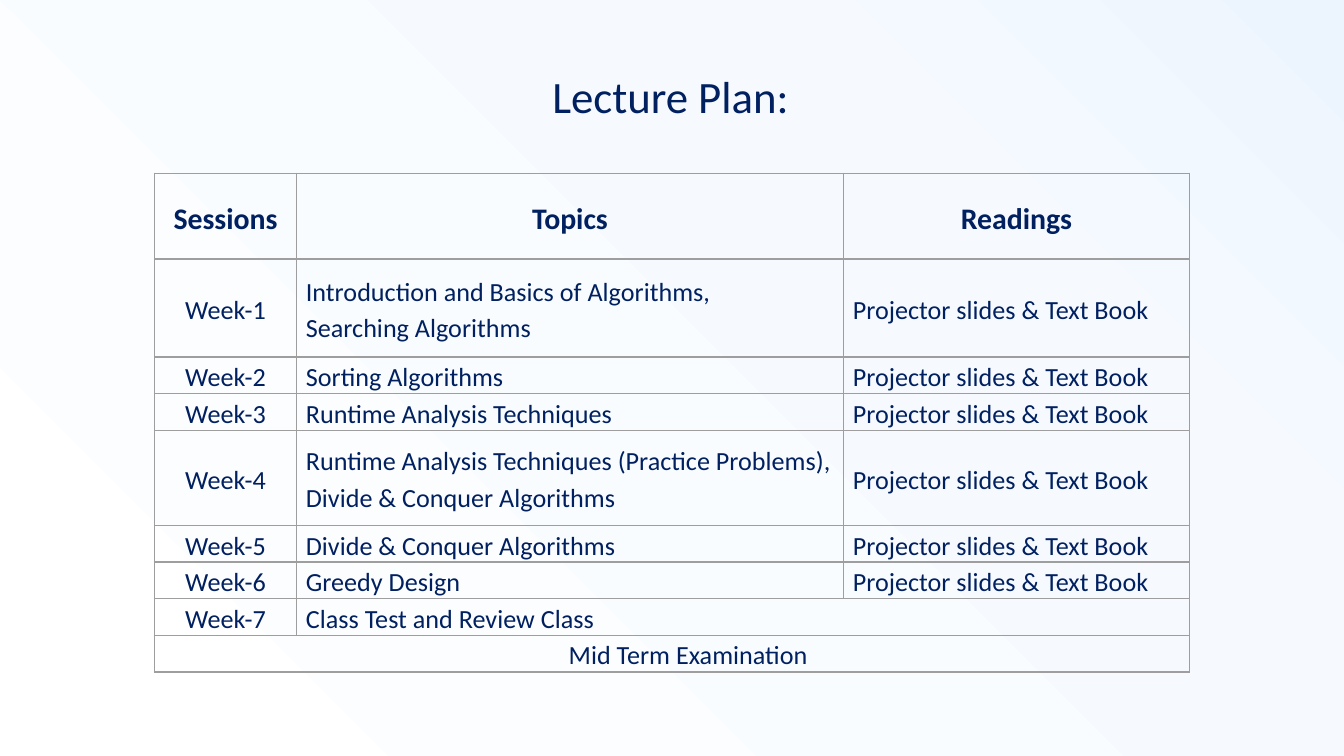
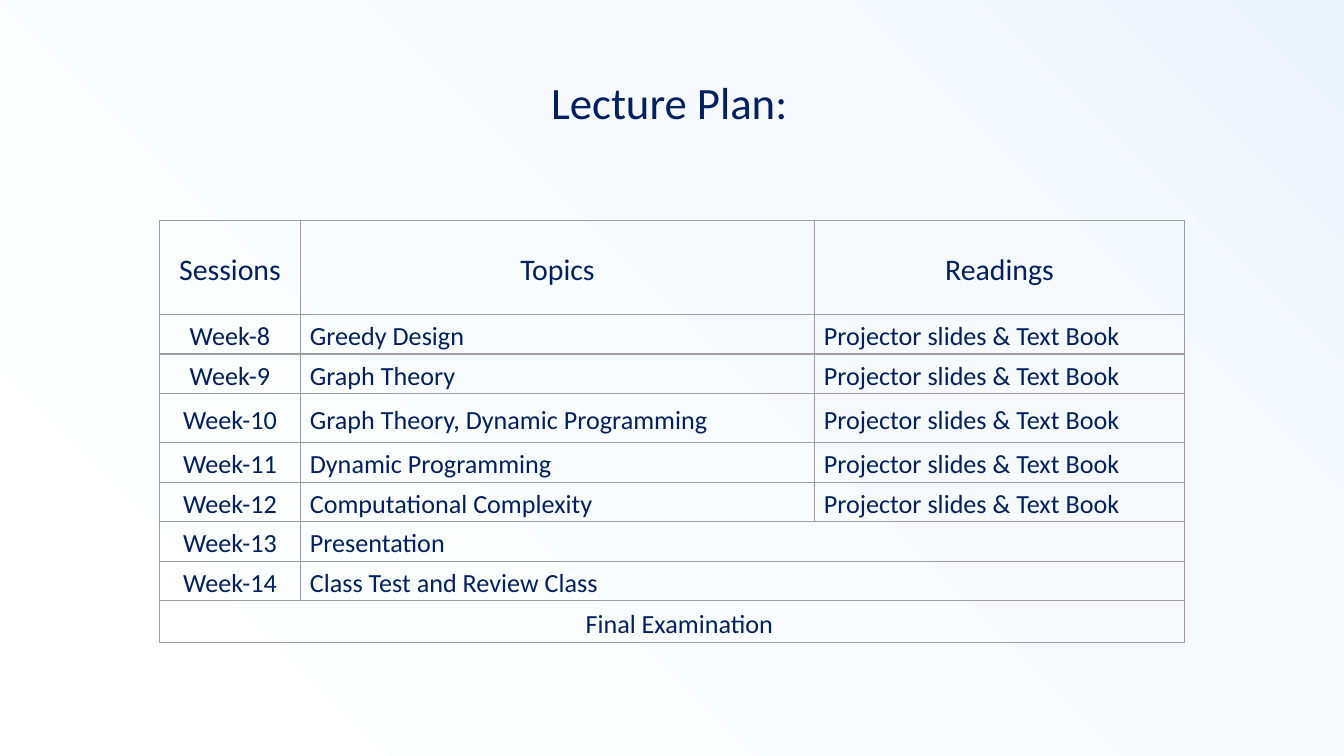
from dataclasses import dataclass

import pptx
import pptx.dml.color
import pptx.enum.text
import pptx.oxml
import pptx.oxml.ns
import pptx.presentation
import pptx.slide
import pptx.table
import pptx.text.text
import pptx.util

Pt = pptx.util.Pt
Align = pptx.enum.text.PP_ALIGN
Anchor = pptx.enum.text.MSO_ANCHOR


# Shared look
@dataclass(frozen=True)
class Theme:
    font: str = "Calibri"
    ink: str = "002060"
    border: str = "9E9E9E"
    border_width: float = 0.75
    glow: tuple[tuple[int, str], ...] = ((0, "ECF5FE"), (29, "F6FAFF"), (99, "FFFFFF"))
    title_size: float = 24
    header_size: float = 16
    body_size: float = 14
    line_spacing: float = 1.15
    gap_after: float = 10
    title_inset: float = 7.2
    cell_inset: float = 5


THEME = Theme()
TITLE = "Lecture Plan:"
HEADERS = ("Sessions", "Topics", "Readings")
READING = "Projector slides & Text Book"


# Content model
@dataclass(frozen=True)
class Week:
    number: int
    topic: str
    height: float
    align: Align = Align.LEFT
    gap_after: float = THEME.gap_after
    has_reading: bool = True


@dataclass(frozen=True)
class Plan:
    title_box: tuple[float, float, float, float]
    corner: tuple[float, float]
    columns: tuple[float, float, float]
    header_height: float
    header_bold: bool
    reading_align: Align
    weeks: tuple[Week, ...]
    exam: str
    exam_height: float
    exam_indent: float


LOW, MID = 19.6, 21.15  # single-line row heights before and after mid term

PLANS = (
    Plan(
        title_box=(288.7, 29.5, 142.6, 45.4),
        corner=(82.8, 92.8),
        columns=(76.1, 293, 185.4),
        header_height=45.9,
        header_bold=True,
        reading_align=Align.LEFT,
        weeks=(
            Week(1, "Introduction and Basics of Algorithms,\nSearching Algorithms",
                 52.6, gap_after=0),
            Week(2, "Sorting Algorithms", LOW, gap_after=0),
            Week(3, "Runtime Analysis Techniques", LOW),
            Week(4, "Runtime Analysis Techniques (Practice Problems), "
                    "Divide & Conquer Algorithms", 51),
            Week(5, "Divide & Conquer Algorithms", LOW),
            Week(6, "Greedy Design", LOW),
            Week(7, "Class Test and Review Class", LOW, has_reading=False),
        ),
        exam="Mid Term Examination",
        exam_height=LOW,
        exam_indent=17.3,
    ),
    Plan(
        title_box=(288, 33, 144, 45.4),
        corner=(85.5, 118.1),
        columns=(75.5, 275.4, 198.2),
        header_height=50.4,
        header_bold=False,
        reading_align=Align.JUSTIFY,
        weeks=(
            Week(8, "Greedy Design", MID),
            Week(9, "Graph Theory", MID, Align.JUSTIFY, 0),
            Week(10, "Graph Theory, Dynamic Programming", 26.5, Align.JUSTIFY, 0),
            Week(11, "Dynamic Programming", MID, Align.JUSTIFY, 0),
            Week(12, "Computational Complexity", MID, Align.JUSTIFY, 0),
            Week(13, "Presentation", MID, Align.JUSTIFY, has_reading=False),
            Week(14, "Class Test and Review Class", MID, has_reading=False),
        ),
        exam="Final Examination",
        exam_height=22.4,
        exam_indent=7.9,
    ),
)


# Shared helpers
def style_spans(para: pptx.text.text._Paragraph, size: float, bold: bool = False) -> None:
    for span in para.runs:
        span.font.name = THEME.font
        span.font.size = Pt(size)
        span.font.bold = bold
        span.font.color.rgb = pptx.dml.color.RGBColor.from_string(THEME.ink)


def paint_background(deck: pptx.presentation.Presentation) -> None:
    """Put a round glow in the top right corner of the master."""
    master = deck.slide_master
    master.background.fill.solid()
    properties = master.element.xpath(".//p:bgPr")[0]
    stops = "".join(
        f'<a:gs pos="{place * 1000}"><a:srgbClr val="{color}"/></a:gs>'
        for place, color in THEME.glow
    )
    properties.replace(properties[0], pptx.oxml.parse_xml(
        f'<a:gradFill {pptx.oxml.ns.nsdecls("a")} rotWithShape="1">'
        f'<a:gsLst>{stops}</a:gsLst><a:path path="circle">'
        f'<a:fillToRect l="100000" b="100000"/></a:path></a:gradFill>'
    ))


def prepare_cell(cell: pptx.table._Cell) -> None:
    """Give a cell its borders, insets and a clear fill."""
    properties = cell._tc.get_or_add_tcPr()
    for side in "LRTB":
        properties.append(pptx.oxml.parse_xml(
            f'<a:ln{side} {pptx.oxml.ns.nsdecls("a")} w="{Pt(THEME.border_width)}">'
            f'<a:solidFill><a:srgbClr val="{THEME.border}"/></a:solidFill></a:ln{side}>'
        ))
    cell.fill.background()
    cell.vertical_anchor = Anchor.MIDDLE
    cell.margin_left = cell.margin_right = Pt(THEME.cell_inset)
    cell.margin_top = cell.margin_bottom = 0


def write_cell(cell: pptx.table._Cell, text: str, align: Align = Align.CENTER,
               size: float = THEME.body_size, bold: bool = False,
               gap_after: float = THEME.gap_after, indent: float = 0) -> None:
    cell.text_frame.text = text
    for para in cell.text_frame.paragraphs:
        para.alignment = align
        para.line_spacing = THEME.line_spacing
        para.space_after = Pt(gap_after)
        if indent:
            para._p.get_or_add_pPr().set("marL", str(Pt(indent)))
        style_spans(para, size, bold)


# Slide parts
def add_title(page: pptx.slide.Slide, plan: Plan) -> None:
    box = page.shapes.title
    box.left, box.top, box.width, box.height = map(Pt, plan.title_box)
    frame = box.text_frame
    frame.text = TITLE
    frame.auto_size = pptx.enum.text.MSO_AUTO_SIZE.NONE
    frame.word_wrap = True
    frame.vertical_anchor = Anchor.TOP
    frame.margin_left = frame.margin_right = Pt(THEME.title_inset)
    frame.margin_top = frame.margin_bottom = Pt(THEME.title_inset)
    frame.paragraphs[0].alignment = Align.LEFT
    style_spans(frame.paragraphs[0], THEME.title_size)


def add_plan_table(page: pptx.slide.Slide, plan: Plan) -> None:
    heights = (plan.header_height, *(week.height for week in plan.weeks), plan.exam_height)
    table = page.shapes.add_table(
        len(heights), len(HEADERS), *map(Pt, plan.corner),
        Pt(sum(plan.columns)), Pt(sum(heights)),
    ).table
    table.first_row = table.horz_banding = False
    for column, width in zip(table.columns, plan.columns):
        column.width = Pt(width)
    for row, height in zip(table.rows, heights):
        row.height = Pt(height)
    for cell in table.iter_cells():
        prepare_cell(cell)

    # Header row
    for index, header in enumerate(HEADERS):
        write_cell(table.cell(0, index), header, size=THEME.header_size,
                   bold=plan.header_bold)

    # One row a week
    for index, week in enumerate(plan.weeks, start=1):
        session, topic, reading = (table.cell(index, column) for column in range(3))
        write_cell(session, f"Week-{week.number}")
        write_cell(topic, week.topic, week.align, gap_after=week.gap_after)
        if week.has_reading:
            write_cell(reading, READING, plan.reading_align)
        else:
            topic.merge(reading)

    # Examination row
    last = len(heights) - 1
    exam = table.cell(last, 0)
    exam.merge(table.cell(last, 2))
    write_cell(exam, plan.exam, indent=plan.exam_indent)


def main() -> None:
    deck = pptx.Presentation()
    deck.slide_width, deck.slide_height = Pt(720), Pt(405)
    paint_background(deck)
    title_only = deck.slide_layouts.get_by_name("Title Only")
    for plan in PLANS:
        page = deck.slides.add_slide(title_only)
        add_title(page, plan)
        add_plan_table(page, plan)
    deck.save("out.pptx")


if __name__ == "__main__":
    main()
